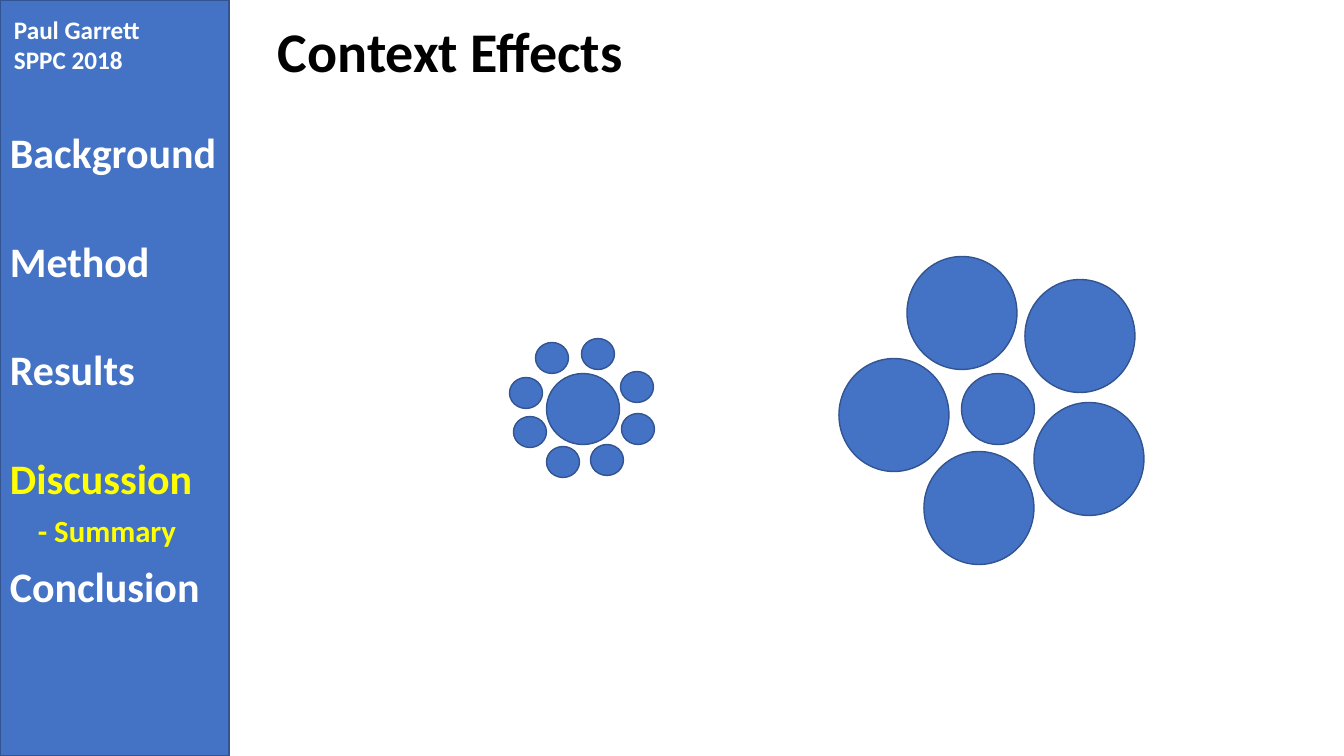
import pptx
import pptx.util
import pptx.dml.color
import pptx.enum.shapes
import pptx.enum.text
from dataclasses import dataclass

SLIDE = (1344, 756)
SIDEBAR = (0, 0, 229, 756)
EMU_PER_PX = 914400 / 100.8

TITLE = ("Context Effects", (268, 9, 983, 81))
AUTHOR = (["Paul Garrett", "SPPC 2018"], (4, 9, 148, 72))
SECTIONS = (["Background", "Method", "Results", "Discussion", "Conclusion"],
            (0, 122, 229, 561))
CURRENT_SECTION = "Discussion"
SUBSECTION = ("- Summary", (28, 507, 160, 47))

# (diameters, centres) of each group of circles
CIRCLE_GROUPS = [
    ((73, 71), [(583, 409), (998, 409)]),
    ((33, 31), [(552, 358), (598, 354), (637, 387), (638, 429),
                (607, 460), (563, 462), (530, 432), (526, 393)]),
    ((110, 113), [(962, 313), (1080, 336), (1089, 459), (979, 508), (894, 415)]),
]


@dataclass(frozen=True)
class Theme:
    font: str = "Calibri"
    fill: str = "4472C4"
    outline: str = "325491"
    title: str = "000000"
    menu: str = "FFFFFF"
    current: str = "FFFF00"
    title_size: int = 40
    section_size: int = 30
    subsection_size: int = 22
    author_size: int = 18
    section_gap: float = 41.4


THEME = Theme()


def px(length):
    return pptx.util.Emu(round(length * EMU_PER_PX))


def rgb(code):
    return pptx.dml.color.RGBColor.from_string(code)


def add_filled(slide, kind, box):
    shape = slide.shapes.add_shape(kind, *map(px, box))
    shape.shadow.inherit = False
    shape.fill.solid()
    shape.fill.fore_color.rgb = rgb(THEME.fill)
    shape.line.color.rgb = rgb(THEME.outline)
    shape.line.width = pptx.util.Pt(1)


def add_text(slide, lines, box, size, color, wrap=False):
    frame = slide.shapes.add_textbox(*map(px, box)).text_frame
    frame.word_wrap = wrap
    frame.text = "\n".join(lines)
    for paragraph in frame.paragraphs:
        for run in paragraph.runs:
            run.font.name = THEME.font
            run.font.size = pptx.util.Pt(size)
            run.font.bold = True
            run.font.color.rgb = rgb(color)
    return frame


def add_sidebar(slide):
    add_filled(slide, pptx.enum.shapes.MSO_SHAPE.RECTANGLE, SIDEBAR)
    menu = add_text(slide, *SECTIONS, THEME.section_size, THEME.menu)
    for index, section in enumerate(menu.paragraphs):
        if index:
            section.space_before = pptx.util.Pt(THEME.section_gap)
        if section.text == CURRENT_SECTION:
            section.runs[0].font.color.rgb = rgb(THEME.current)
    add_text(slide, *AUTHOR, THEME.author_size, THEME.menu)
    label, box = SUBSECTION
    add_text(slide, [label], box, THEME.subsection_size, THEME.current)


def add_title(slide):
    heading, box = TITLE
    title = add_text(slide, [heading], box, THEME.title_size, THEME.title, wrap=True)
    title.vertical_anchor = pptx.enum.text.MSO_ANCHOR.BOTTOM
    title.paragraphs[0].line_spacing = 0.9


def add_circles(slide):
    for (width, height), centres in CIRCLE_GROUPS:
        for x, y in centres:
            add_filled(slide, pptx.enum.shapes.MSO_SHAPE.OVAL,
                       (x - width / 2, y - height / 2, width, height))


def main():
    deck = pptx.Presentation()
    deck.slide_width, deck.slide_height = map(px, SLIDE)
    slide = deck.slides.add_slide(deck.slide_layouts[6])
    add_sidebar(slide)
    add_title(slide)
    add_circles(slide)
    deck.save("out.pptx")


if __name__ == "__main__":
    main()
